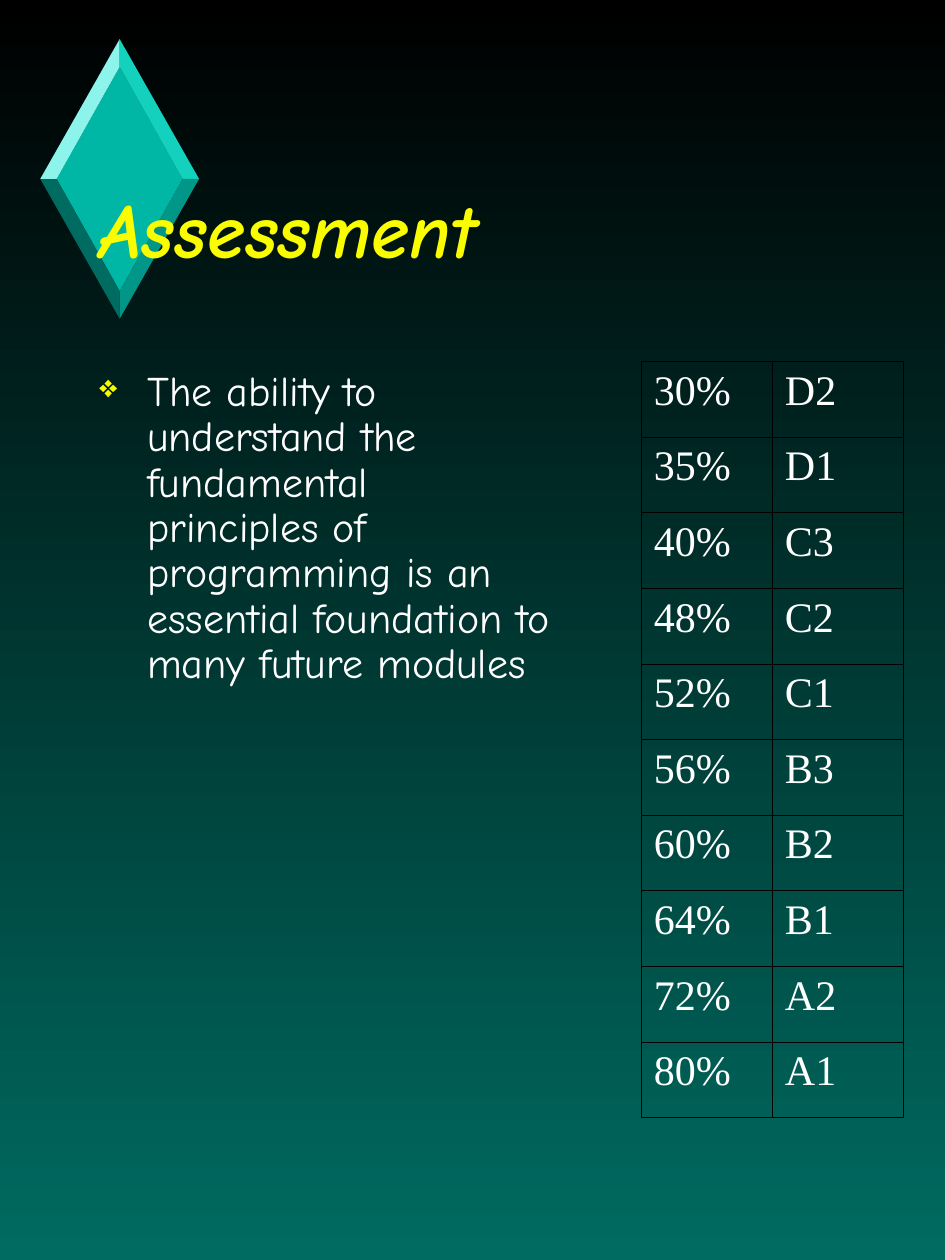
from lxml import etree
from pptx import Presentation
from pptx.dml.color import RGBColor
from pptx.enum import text
from pptx.oxml import ns
from pptx.util import Inches, Pt

TITLE = "Assessment"
BODY = ("The ability to understand the fundamental principles of programming "
        "is an essential foundation to many future modules")
GRADES = [("30%", "D2"), ("35%", "D1"), ("40%", "C3"), ("48%", "C2"),
          ("52%", "C1"), ("56%", "B3"), ("60%", "B2"), ("64%", "B1"),
          ("72%", "A2"), ("80%", "A1")]
THEME = {
    "top": "000000", "bottom": "006B61", "accent": "FAFD00",
    "text": "FFFFFF", "border": "000000", "gem": "00B7A5",
    "facets": ["14D1BE", "009688", "006B61", "8CF4EA"],
    "font": "Comic Neue", "table_font": "Times New Roman",
    "title_size": 44, "body_size": 24, "border_width": 0.45,
}
GEM_CENTRE = (0.95, 1.42)
GEM_OUTER = (0.63, 1.11)
GEM_INNER = (0.5, 0.89)
COLUMN, ROW, HANG = 1.04, 0.6, 0.38


def rgb(name):
    return RGBColor.from_string(THEME[name])


def add_xml(parent, tag, **attrs):
    return etree.SubElement(parent, ns.qn(tag), **attrs)


def style(p, font, size, color, strong=False):
    for r in p.runs:
        r.font.name = THEME[font]
        r.font.size = Pt(THEME[size])
        r.font.color.rgb = rgb(color)
        r.font.bold = r.font.italic = strong


def hang(p):
    pPr = p._p.get_or_add_pPr()
    pPr.set("marL", str(Inches(HANG)))
    pPr.set("indent", str(-Inches(HANG)))
    return pPr


def add_text(s, box, content, anchor):
    tf = s.shapes.add_textbox(*map(Inches, box)).text_frame
    tf.word_wrap = True
    tf.vertical_anchor = anchor
    tf.text = content
    return tf.paragraphs[0]


def diamond(half):
    (x, y), (w, h) = GEM_CENTRE, half
    return [(x, y - h), (x + w, y), (x, y + h), (x - w, y)]


def add_face(group, points, color):
    points = [(Inches(x), Inches(y)) for x, y in points]
    builder = group.shapes.build_freeform(*points[0])
    builder.add_line_segments(points[1:], close=True)
    sp = builder.convert_to_shape()
    sp.shadow.inherit = False
    sp.fill.solid()
    sp.fill.fore_color.rgb = RGBColor.from_string(color)
    sp.line.fill.background()


def add_gem(s):
    group = s.shapes.add_group_shape()
    outer, inner = diamond(GEM_OUTER), diamond(GEM_INNER)
    add_face(group, inner, THEME["gem"])
    for i, color in enumerate(THEME["facets"]):
        j = (i + 1) % 4
        add_face(group, [outer[i], outer[j], inner[j], inner[i]], color)


def add_borders(cell):
    tcPr = cell._tc.get_or_add_tcPr()
    for side in ("L", "R", "T", "B"):
        ln = add_xml(tcPr, f"a:ln{side}", w=str(Pt(THEME["border_width"])))
        add_xml(add_xml(ln, "a:solidFill"), "a:srgbClr", val=THEME["border"])


def add_grades(s):
    rows, cols = len(GRADES), len(GRADES[0])
    table = s.shapes.add_table(rows, cols, Inches(5.09), Inches(2.87),
                               Inches(cols * COLUMN), Inches(rows * ROW)).table
    table.first_row = table.horz_banding = False
    for column in table.columns:
        column.width = Inches(COLUMN)
    for row, values in zip(table.rows, GRADES):
        row.height = Inches(ROW)
        for cell, value in zip(row.cells, values):
            cell.text = value
            add_borders(cell)
            cell.fill.background()
            p = cell.text_frame.paragraphs[0]
            hang(p)
            style(p, "table_font", "body_size", "text")


def main():
    prs = Presentation()
    prs.slide_width, prs.slide_height = Inches(7.5), Inches(10)
    s = prs.slides.add_slide(prs.slide_layouts[6])

    fill = s.background.fill
    fill.gradient()
    fill.gradient_angle = 270
    for stop, name in zip(fill.gradient_stops, ("top", "bottom")):
        stop.color.rgb = rgb(name)

    add_gem(s)
    p = add_text(s, (0.69, 0.61, 6.38, 1.61), TITLE, text.MSO_ANCHOR.BOTTOM)
    style(p, "font", "title_size", "accent", strong=True)

    p = add_text(s, (0.69, 2.89, 3.77, 6), BODY, text.MSO_ANCHOR.TOP)
    pPr = hang(p)
    add_xml(add_xml(pPr, "a:buClr"), "a:srgbClr", val=THEME["accent"])
    add_xml(pPr, "a:buSzPct", val="75000")
    add_xml(pPr, "a:buChar", char="❖")
    p.line_spacing = 0.9
    style(p, "font", "body_size", "text")

    add_grades(s)
    prs.save("out.pptx")


if __name__ == "__main__":
    main()
